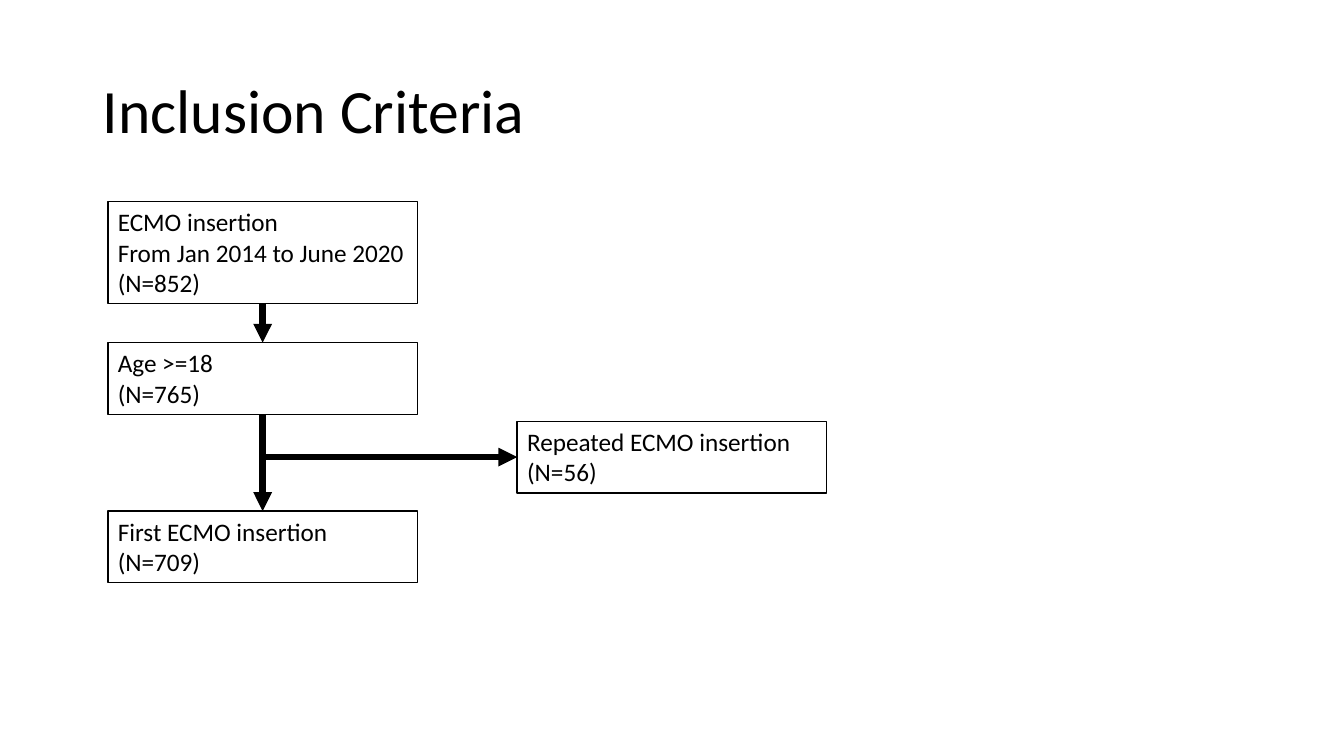
from lxml import etree
from pptx import Presentation
from pptx.dml.color import RGBColor
from pptx.enum.shapes import MSO_CONNECTOR, MSO_SHAPE
from pptx.enum.text import MSO_ANCHOR, MSO_AUTO_SIZE, PP_ALIGN
from pptx.oxml.ns import qn
from pptx.util import Inches, Pt

# Content
TITLE = "Inclusion Criteria"
FONT = "Calibri"
COLORS = {"ink": "000000", "paper": "FFFFFF"}
BOX_W = 3.07
MAIN_X, SIDE_X = 1.07, 5.13
# name: (left, top, height, lines)
BOXES = {
    "inserted": (MAIN_X, 2.0, 1.01,
                 ["ECMO insertion", "From Jan 2014 to June 2020", "(N=852)"]),
    "adult": (MAIN_X, 3.4, 0.71, ["Age >=18", "(N=765)"]),
    "first": (MAIN_X, 5.07, 0.71, ["First ECMO insertion", "(N=709)"]),
    "repeated": (SIDE_X, 4.18, 0.71, ["Repeated ECMO insertion", "(N=56)"]),
}
STEPS = [("inserted", "adult"), ("adult", "first")]
EXCLUDED = "repeated"


def color(name):
    return RGBColor.from_string(COLORS[name])


def style_text(p, size):
    p.alignment = PP_ALIGN.LEFT
    p.font.name = FONT
    p.font.size = Pt(size)
    p.font.color.rgb = color("ink")


def add_title(slide):
    sp = slide.shapes.title
    sp.left, sp.top, sp.width, sp.height = map(Inches, (0.92, 0.4, 11.5, 1.45))
    tf = sp.text_frame
    tf.text = TITLE
    tf.vertical_anchor = MSO_ANCHOR.MIDDLE
    p = tf.paragraphs[0]
    p.line_spacing = 0.9
    style_text(p, 44)


def add_box(slide, left, top, height, lines):
    s = slide.shapes.add_shape(MSO_SHAPE.RECTANGLE, Inches(left), Inches(top),
                               Inches(BOX_W), Inches(height))
    s.shadow.inherit = False
    s.fill.solid()
    s.fill.fore_color.rgb = color("paper")
    s.line.color.rgb = color("ink")
    s.line.width = Pt(1)
    tf = s.text_frame
    tf.text = "\n".join(lines)
    tf.word_wrap = True
    tf.auto_size = MSO_AUTO_SIZE.SHAPE_TO_FIT_TEXT
    tf.vertical_anchor = MSO_ANCHOR.TOP
    for p in tf.paragraphs:
        style_text(p, 18)
    return s


def add_arrow(slide, x1, y1, x2, y2):
    c = slide.shapes.add_connector(MSO_CONNECTOR.STRAIGHT, x1, y1, x2, y2)
    c.line.color.rgb = color("ink")
    c.line.width = Pt(4.5)
    etree.SubElement(c.line._get_or_add_ln(), qn("a:tailEnd"), type="triangle")
    etree.SubElement(c._element.spPr, qn("a:effectLst"))
    return c


def main():
    prs = Presentation()
    prs.slide_width, prs.slide_height = Inches(13.33), Inches(7.5)
    slide = prs.slides.add_slide(prs.slide_layouts[5])
    add_title(slide)

    # Boxes
    shapes = {name: add_box(slide, *box) for name, box in BOXES.items()}

    # Arrows down the main column
    axis = Inches(MAIN_X + BOX_W / 2)
    for start, end in STEPS:
        s = shapes[start]
        c = add_arrow(slide, axis, s.top + s.height, axis, shapes[end].top)
        c.begin_connect(s, 2)
        c.end_connect(shapes[end], 0)

    # Branch to the excluded group
    side = shapes[EXCLUDED]
    middle = side.top + side.height // 2
    c = add_arrow(slide, axis, middle, side.left, middle)
    c.end_connect(side, 1)

    prs.save("out.pptx")


if __name__ == "__main__":
    main()
